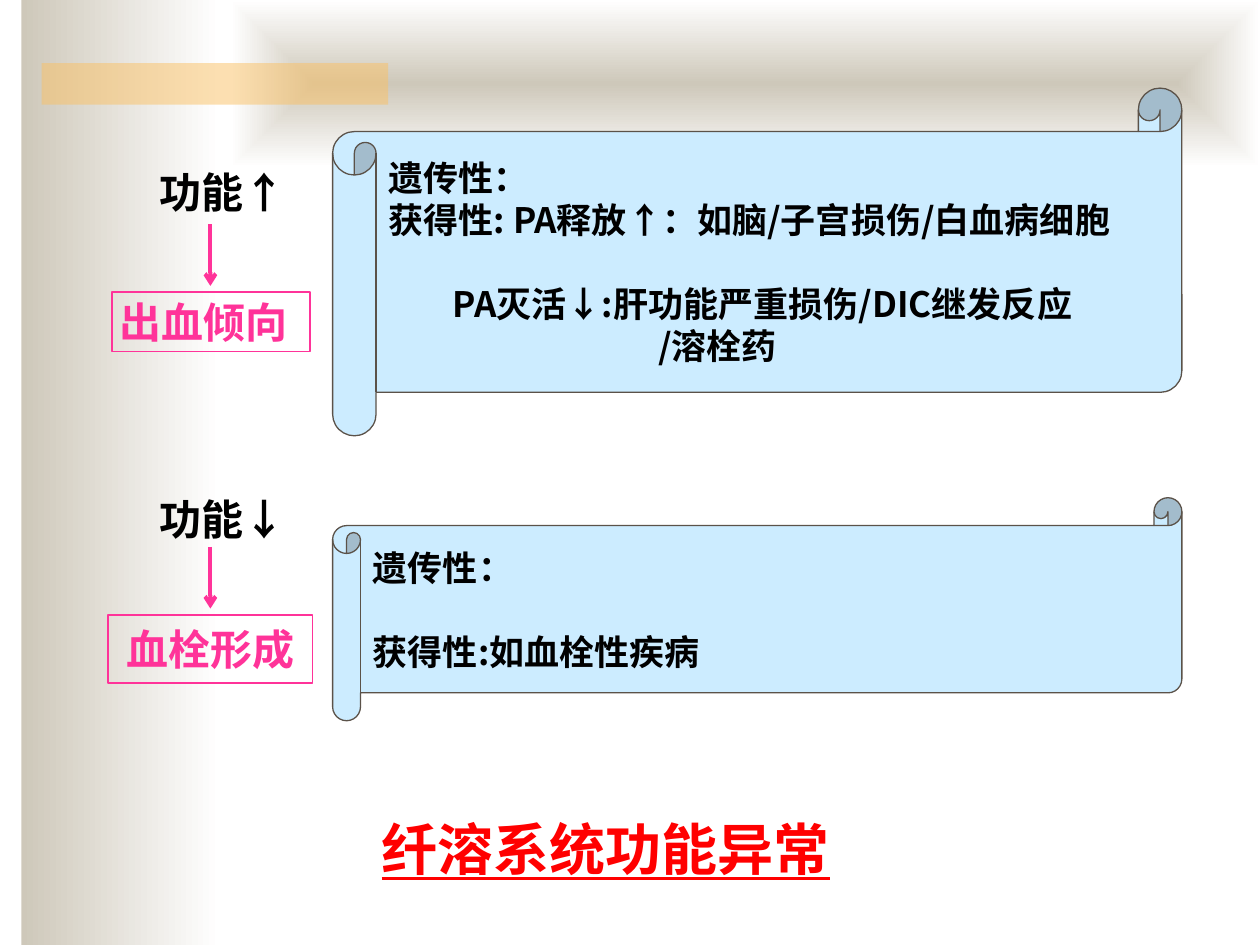
import lxml.etree
import pptx
import pptx.dml.color
import pptx.enum.shapes
import pptx.enum.text
import pptx.oxml
import pptx.oxml.ns
import pptx.util

Pt = pptx.util.Pt
Inches = pptx.util.Inches
SHAPE = pptx.enum.shapes.MSO_SHAPE
ALIGN = pptx.enum.text.PP_ALIGN
qn = pptx.oxml.ns.qn
NOTO, TIMES = "Noto Sans CJK SC", "Times New Roman"
PINK = "FF3399"

presentation = pptx.Presentation()
presentation.slide_width = Inches(10)
presentation.slide_height = Inches(7.5)
slide = presentation.slides.add_slide(presentation.slide_layouts[6])
column = presentation.slide_width / 100
row = presentation.slide_height / 100


def rgb(value):
    return pptx.dml.color.RGBColor.from_string(value)


def add_block(box, lines=(), kind=SHAPE.RECTANGLE, fill=None, line=None, width=1,
              size=24, font=NOTO, color="000000", align=ALIGN.LEFT, inset=0.06):
    """Add a shape; box is in percent of the slide, lines are (text, indent, space before)."""
    left, top, wide, high = box
    shape = slide.shapes.add_shape(kind, int(left * column), int(top * row),
                                   int(wide * column), int(high * row))
    shape.shadow.inherit = False
    if fill:
        shape.fill.solid()
        shape.fill.fore_color.rgb = rgb(fill)
    else:
        shape.fill.background()
    if line:
        shape.line.color.rgb = rgb(line)
        shape.line.width = Pt(width)
    else:
        shape.line.fill.background()
    frame = shape.text_frame
    frame.word_wrap = kind == SHAPE.RECTANGLE
    frame.vertical_anchor = pptx.enum.text.MSO_ANCHOR.MIDDLE
    frame.margin_left = frame.margin_right = Inches(inset)
    frame.margin_top = frame.margin_bottom = Inches(inset / 2)
    for number, (text, indent, before) in enumerate(lines):
        paragraph = frame.paragraphs[0] if number == 0 else frame.add_paragraph()
        paragraph.text = text
        paragraph.alignment = align
        if indent:
            paragraph._p.get_or_add_pPr().set("marL", str(int(indent * column)))
        if before:
            paragraph.space_before = Pt(before)
        if len(lines) > 1:
            paragraph.line_spacing = Pt(1.2 * size)
        paragraph.font.name = font
        paragraph.font.size = Pt(size)
        paragraph.font.bold = True
        paragraph.font.color.rgb = rgb(color)
    return shape


# Background: side band, top band and translucent accent
side_band = add_block((1.7, 0, 15.8, 100))
top_band = add_block((18.3, 0, 81.7, 17.73))
for band in (side_band, top_band):
    band.fill.gradient()
    band.fill.gradient_angle = 0
    for stop, value in zip(band.fill.gradient_stops, ("CEC8BA", "FFFFFF")):
        stop.color.rgb = rgb(value)
linear = top_band._element.spPr.find(".//" + qn("a:lin"))
path = lxml.etree.Element(qn("a:path"), path="rect")
lxml.etree.SubElement(path, qn("a:fillToRect"), l="50000", t="50000", r="50000", b="50000")
linear.getparent().replace(linear, path)

accent = add_block((3.3, 6.67, 27.5, 4.4), fill="FAC164")
accent_color = accent._element.spPr.find(".//" + qn("a:srgbClr"))
lxml.etree.SubElement(accent_color, qn("a:alpha"), val="50000")

# Each change of function: label, arrow, result and scroll of causes
changes = [
    ("功能↑", (12.1, 17.2, 11.8, 6.27), 23.73,
     "出血倾向", (8.9, 30.93, 15.7, 6.27), ALIGN.LEFT,
     (26.4, 9.33, 67.4, 36.8),
     [("遗传性：", 0, 0),
      ("获得性: PA释放↑：如脑/子宫损伤/白血病细胞", 0, 0),
      ("PA灭活↓:肝功能严重损伤/DIC继发反应", 5.1, 24),
      ("/溶栓药", 21.4, 0)]),
    ("功能↓", (12.1, 51.73, 12.8, 6.27), 57.87,
     "血栓形成", (8.6, 65.07, 16.2, 7.2), ALIGN.CENTER,
     (26.4, 52.67, 67.4, 23.6),
     [("遗传性：", 0, 0), ("获得性:如血栓性疾病", 0, 24)]),
]
for label, label_box, arrow_top, result, result_box, align, scroll_box, causes in changes:
    add_block(label_box, [(label, 0, 0)])
    add_block(result_box, [(result, 0, 0)], line=PINK, font=TIMES, color=PINK, align=align)
    arrow = slide.shapes.add_connector(
        pptx.enum.shapes.MSO_CONNECTOR.STRAIGHT, int(16.7 * column), int(arrow_top * row),
        int(16.7 * column), int((arrow_top + 6.53) * row))
    arrow.line.color.rgb = rgb(PINK)
    arrow.line.width = Pt(2.25)
    lxml.etree.SubElement(arrow.line._get_or_add_ln(), qn("a:tailEnd"), type="arrow")
    lxml.etree.SubElement(arrow._element.spPr, qn("a:effectLst"))
    add_block(scroll_box, causes, kind=SHAPE.HORIZONTAL_SCROLL, fill="CCECFF",
              line="5B5249", width=0.75, size=20, inset=0.1)

title = add_block((29.3, 85.47, 38.9, 8.53), [("纤溶系统功能异常", 0, 0)],
                  size=32, color="FF0000", align=ALIGN.JUSTIFY, inset=0.1)
title.text_frame.paragraphs[0].font.underline = True

presentation.save("out.pptx")
